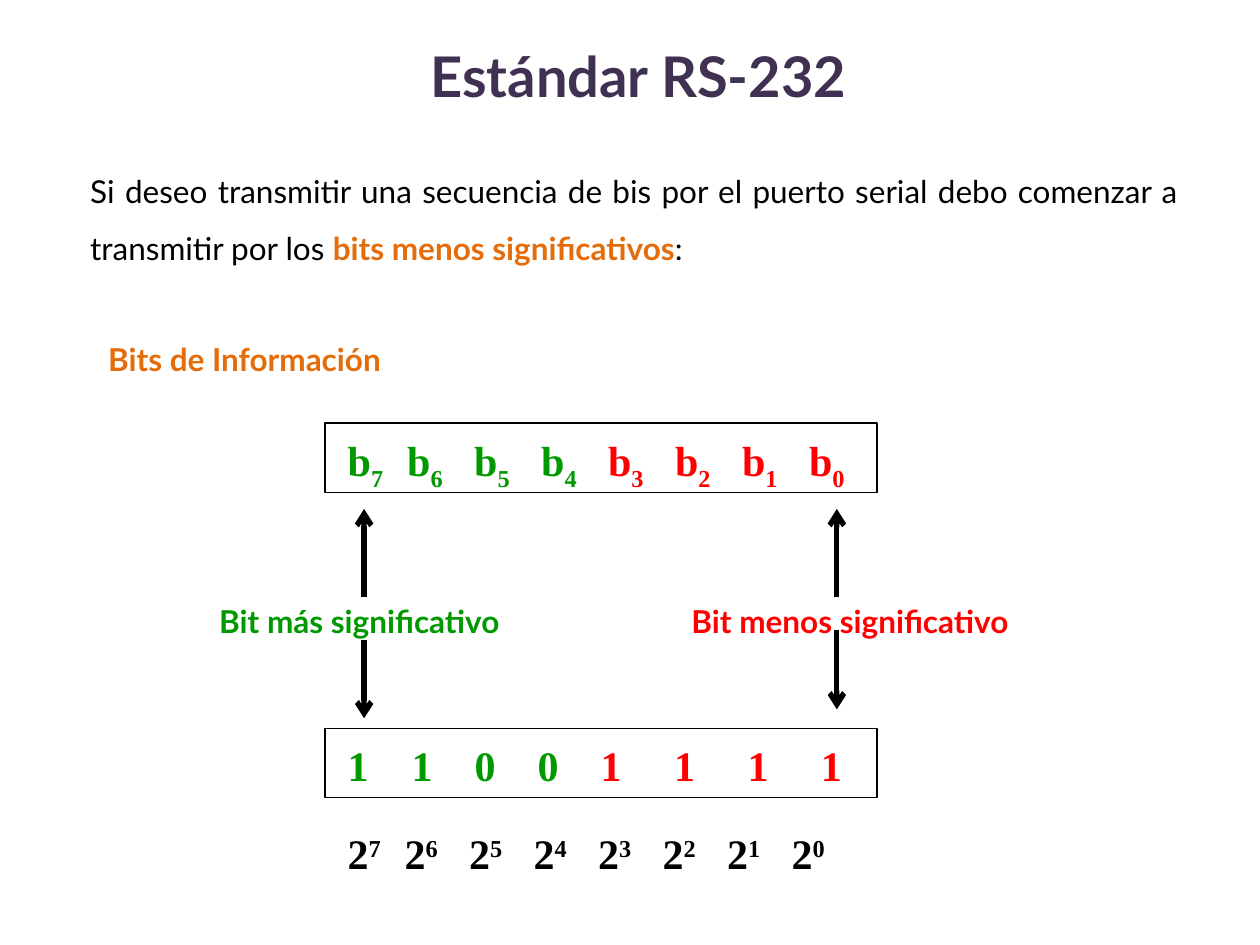
from itertools import accumulate

from lxml import etree
from pptx import Presentation
from pptx.dml.color import RGBColor
from pptx.enum.shapes import MSO_CONNECTOR, MSO_SHAPE
from pptx.enum.text import MSO_ANCHOR, PP_ALIGN
from pptx.oxml.ns import qn
from pptx.util import Cm, Pt

LEFT, CENTER, JUSTIFY = PP_ALIGN.LEFT, PP_ALIGN.CENTER, PP_ALIGN.JUSTIFY
MIDDLE = MSO_ANCHOR.MIDDLE
RECTANGLE, STRAIGHT = MSO_SHAPE.RECTANGLE, MSO_CONNECTOR.STRAIGHT
COLORS = {"title": "403152", "text": "000000", "accent": "E46C0A",
          "high": "009900", "low": "FF0000", "box": "FFFFFF"}
SANS, SERIF = "Lato", "Times New Roman"

TITLE = "Estándar RS-232"
PARAGRAPHS = [
    ((1.57, 2.97, 22.43, 2.44), JUSTIFY, [
        ("Si deseo transmitir una secuencia de bis por el puerto serial debo "
         "comenzar a transmitir por los ", "text", False),
        ("bits menos significativos", "accent", True),
        (":", "text", False)]),
    ((1.36, 6.35, 7.14, 1.27), CENTER, [("Bits de Información", "accent", True)]),
    ((4.17, 11.63, 6.76, 1.27), JUSTIFY, [("Bit más significativo", "high", True)]),
    ((13.69, 11.63, 7.75, 1.27), JUSTIFY, [("Bit menos significativo", "low", True)]),
]
POSITIONS = "76543210"
BITS = "11001111"
HALVES = ["high"] * 4 + ["low"] * 4
ROWS = [
    (8.53, [("b", n) for n in POSITIONS], HALVES, -25, [1.2] + [1.35] * 6),
    (14.68, [(bit, "") for bit in BITS], HALVES, 0, [1.29] + [1.27] * 3 + [1.48] * 3),
    (16.46, [("2", n) for n in POSITIONS], ["text"] * 8, 30, [1.15] + [1.3] * 6),
]
BOX_TOPS = [8.53, 14.68]
ARROWS = [(7.34, 12.04, 10.26), (16.87, 12.04, 10.26),
          (16.87, 12.7, 14.3), (7.34, 12.9, 14.48)]


def rgb(name):
    return RGBColor.from_string(COLORS[name])


def add_run(p, text, size, font, color, bold=True, baseline=0):
    r = p.add_run()
    r.text = text
    r.font.size, r.font.name, r.font.bold = Pt(size), font, bold
    r.font.color.rgb = rgb(color)
    if baseline:
        r.font._element.set("baseline", str(baseline * 1000))


def add_text(s, bounds):
    tf = s.shapes.add_textbox(*map(Cm, bounds)).text_frame
    tf.word_wrap = True
    return tf


def add_paragraph(s, bounds, align, runs):
    p = add_text(s, bounds).paragraphs[0]
    p.alignment, p.line_spacing = align, 1.5
    for text, color, bold in runs:
        add_run(p, text, 18, SANS, color, bold)


def add_box(s, top):
    sp = s.shapes.add_shape(RECTANGLE, Cm(6.55), Cm(top), Cm(11.13), Cm(1.4))
    sp.shadow.inherit = False
    sp.fill.solid()
    sp.fill.fore_color.rgb = rgb("box")
    sp.line.color.rgb = rgb("text")
    sp.line.width = Pt(0.75)


def add_row(s, top, cells, colors, baseline, gaps):
    tf = add_text(s, (6.76, top, 11.1, 1.28))
    tf.margin_top = Cm(0.23)
    p = tf.paragraphs[0]
    p.alignment = LEFT
    tabs = etree.SubElement(p._p.get_or_add_pPr(), qn("a:tabLst"))
    for stop in accumulate(gaps):
        etree.SubElement(tabs, qn("a:tab"), pos=str(Cm(stop)), algn="l")
    for i, ((base, index), color) in enumerate(zip(cells, colors)):
        add_run(p, "\t" + base if i else base, 24, SERIF, color)
        if index:
            add_run(p, index, 24, SERIF, color, baseline=baseline)


def add_arrow(s, x, start, end):
    line = s.shapes.add_connector(STRAIGHT, Cm(x), Cm(start), Cm(x), Cm(end))
    line.line.color.rgb = rgb("text")
    line.line.width = Pt(3)
    etree.SubElement(line.line._get_or_add_ln(), qn("a:tailEnd"), type="arrow")
    etree.SubElement(line._element.spPr, qn("a:effectLst"))


def main():
    """Build the slide on the bit order of RS-232."""
    prs = Presentation()
    prs.slide_width, prs.slide_height = Cm(25.4), Cm(19.05)
    s = prs.slides.add_slide(prs.slide_layouts[5])
    title = s.shapes.title
    title.left, title.top, title.width, title.height = map(Cm, (0.43, -0.08, 24.89, 3.18))
    tf = title.text_frame
    tf.vertical_anchor = MIDDLE
    p = tf.paragraphs[0]
    p.alignment = CENTER
    add_run(p, TITLE, 32, SANS, "title")
    for top in BOX_TOPS:
        add_box(s, top)
    for paragraph in PARAGRAPHS:
        add_paragraph(s, *paragraph)
    for row in ROWS:
        add_row(s, *row)
    for arrow in ARROWS:
        add_arrow(s, *arrow)
    prs.save("out.pptx")


if __name__ == "__main__":
    main()
